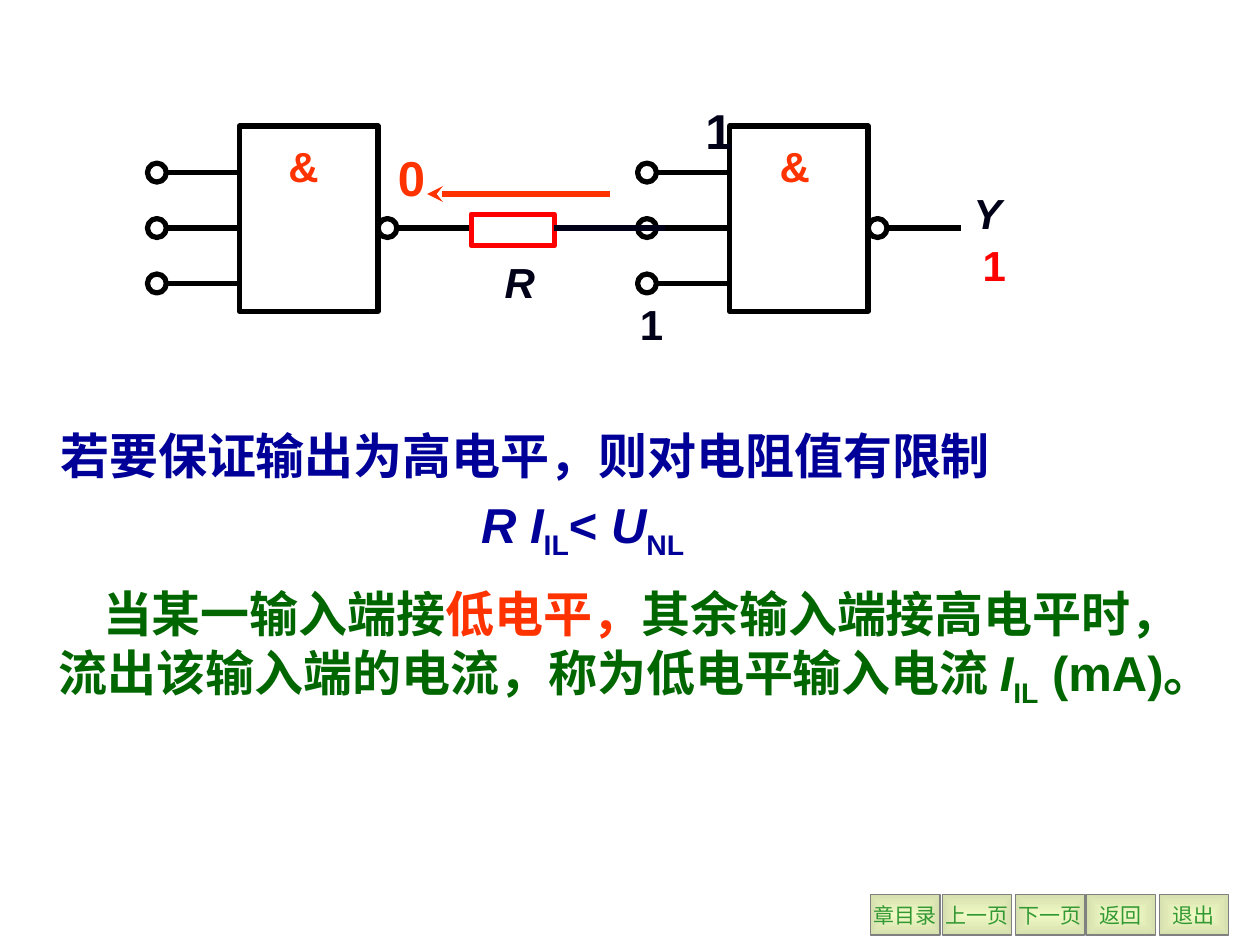
from pptx import Presentation, util as u
from pptx.dml.color import RGBColor
from pptx.enum import shapes, text
from pptx.oxml import parse_xml
from pptx.oxml.ns import nsdecls, qn

rgb = RGBColor.from_string
deck = Presentation()
deck.slide_width, deck.slide_height = u.Inches(10), u.Inches(7.5)
page = deck.slides.add_slide(deck.slide_layouts[6])
BLACK, INK, RED, ORANGE, BLUE, GREEN = "000000", "000018", "FF0000", "FF3300", "000099", "006600"
KIND = shapes.MSO_SHAPE
LEFT, CENTER = text.PP_ALIGN.LEFT, text.PP_ALIGN.CENTER
TOP, MIDDLE = text.MSO_ANCHOR.TOP, text.MSO_ANCHOR.MIDDLE


def write(frame, paragraphs, size, anchor=TOP, wrap=True, font="Arial", bold=True):
    """Each paragraph is (alignment, first-line indent, [(words, colour, style)])."""
    frame.word_wrap, frame.vertical_anchor = wrap, anchor
    for n, (align, indent, runs) in enumerate(paragraphs):
        para = frame.add_paragraph() if n else frame.paragraphs[0]
        para.alignment = align
        if n:
            para.space_before = u.Pt(size * 0.2)
        if indent:
            para._p.get_or_add_pPr().set("indent", str(u.Inches(indent)))
        for words, color, style in runs:
            run = para.add_run()
            run.text = words
            look = {"name": font, "size": u.Pt(size), "bold": bold, "italic": style == "i"}
            for key, value in look.items():
                setattr(run.font, key, value)
            run.font.color.rgb = rgb(color)
            if style == "sub":
                run._r.get_or_add_rPr().set("baseline", "-25000")


def draw(kind, x, y, w, h, color=BLACK, width=3):
    """Outline a preset shape, or with kind None a line running w, h from x, y."""
    if kind is None:
        part = page.shapes.add_connector(shapes.MSO_CONNECTOR.STRAIGHT,
                                         *map(u.Inches, (x, y, x + w, y + h)))
        part._element.spPr.append(parse_xml("<a:effectLst %s/>" % nsdecls("a")))
    else:
        part = page.shapes.add_shape(kind, *map(u.Inches, (x, y, w, h)))
        part.shadow.inherit = False
        part.fill.background()
    part.line.color.rgb = rgb(color)
    part.line.width = u.Pt(width)
    return part


# Navigation buttons
for caption, x in zip(["章目录", "上一页", "下一页", "返回", "退出"],
                      [6.91, 7.48, 8.06, 8.62, 9.2]):
    button = draw(KIND.ACTION_BUTTON_CUSTOM, x, 7.1, 0.55, 0.32, "808080", 0.75)
    button.fill.gradient()
    for stop, (position, shade) in zip(button.fill.gradient_stops, [(0, "F0FAC4"), (1, "D6DFAE")]):
        stop.position = position
        stop.color.rgb = rgb(shade)
    direction = button._element.spPr.find(".//" + qn("a:lin"))
    direction.getparent().replace(direction, parse_xml(
        '<a:path %s path="rect"><a:fillToRect l="50000" t="50000" r="50000" b="50000"/></a:path>'
        % nsdecls("a")))
    write(button.text_frame, [(CENTER, 0, [(caption, "339933", "")])], 12, MIDDLE, False,
          "Times New Roman", False)

# Explanation
limit = [
    (LEFT, 0.34, [("若要保证输出为高电平，则对电阻值有限制", BLUE, "")]),
    (CENTER, 0, [("R I", BLUE, "i"), ("IL", BLUE, "sub"), ("< ", BLUE, ""),
                 ("U", BLUE, "i"), ("NL", BLUE, "sub")]),
]
definition = [(LEFT, 0.35, [
    ("当某一输入端接", GREEN, ""), ("低电平，", ORANGE, ""),
    ("其余输入端接高电平时，流出该输入端的电流，称为低电平输入电流 ", GREEN, ""),
    ("I", GREEN, "i"), ("IL", GREEN, "sub"), (" (mA)。", GREEN, "")])]
for passage, box in [(limit, (0.04, 3.33, 9.17, 1.22)), (definition, (0.37, 4.58, 9.43, 1.13))]:
    write(page.shapes.add_textbox(*map(u.Inches, box)).text_frame, passage, 28)

# Two NAND gates: body, three inputs, inverted output
BODY, LEAD, DOT, TOP_Y, AXIS, PITCH = 1.1, 0.59, 0.15, 1, 1.81, 0.44
for gate in (1.9, 5.79):
    draw(KIND.RECTANGLE, gate, TOP_Y, BODY, 1.47)
    for row in (-1, 0, 1):
        y = AXIS + row * PITCH
        draw(None, gate - LEAD, y, LEAD, 0)
        draw(KIND.OVAL, gate - LEAD - 0.14, y - DOT / 2, DOT, DOT)
    draw(KIND.OVAL, gate + BODY, AXIS - DOT / 2, DOT, DOT)
    draw(None, gate + BODY + DOT, AXIS, LEAD, 0)

# Resistor, its wire and the current arrow
draw(KIND.RECTANGLE, 3.74, 1.7, 0.66, 0.25, RED)
draw(None, 4.4, AXIS, 0.88, 0, INK)
current = draw(None, 4.84, 1.54, -1.45, 0, ORANGE)
current.line._get_or_add_ln().append(parse_xml('<a:tailEnd %s type="stealth"/>' % nsdecls("a")))

# Labels and logic levels
for label, box, size, color, style, align, anchor in [
    ("1", (5.5, 0.75, 0.4, 0.57), 28, INK, "", CENTER, MIDDLE),
    ("0", (3.06, 1.12, 0.4, 0.57), 28, ORANGE, "", CENTER, MIDDLE),
    ("&", (2.19, 1.07, 0.44, 0.5), 24, ORANGE, "", LEFT, TOP),
    ("&", (6.09, 1.07, 0.44, 0.5), 24, ORANGE, "", LEFT, TOP),
    ("Y", (7.63, 1.44, 0.44, 0.5), 24, INK, "i", LEFT, TOP),
    ("1", (4.98, 2.32, 0.37, 0.5), 24, INK, "", CENTER, MIDDLE),
    ("1", (7.7, 1.85, 0.37, 0.5), 24, RED, "", CENTER, MIDDLE),
    ("R", (3.88, 1.99, 0.49, 0.49), 24, INK, "i", CENTER, MIDDLE),
]:
    tag = page.shapes.add_textbox(*map(u.Inches, box))
    write(tag.text_frame, [(align, 0, [(label, color, style)])], size, anchor, anchor == TOP)

deck.save("out.pptx")
